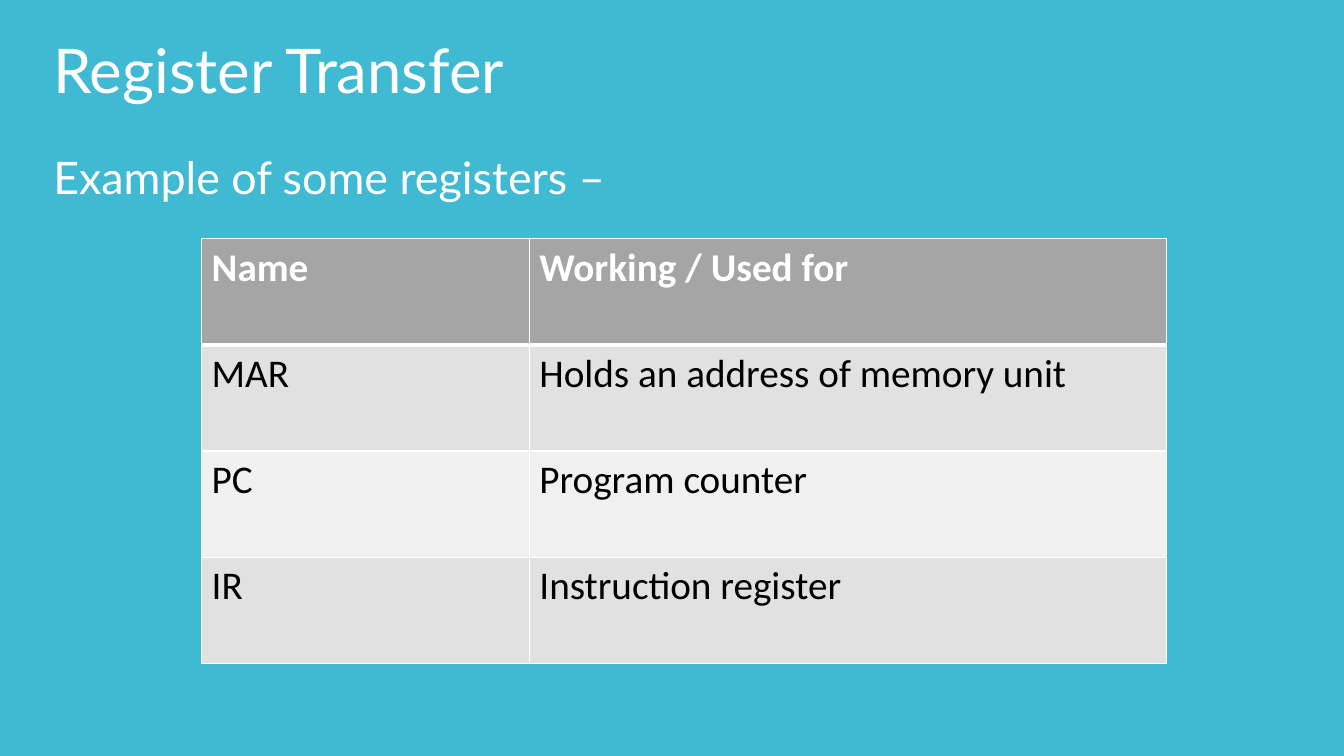
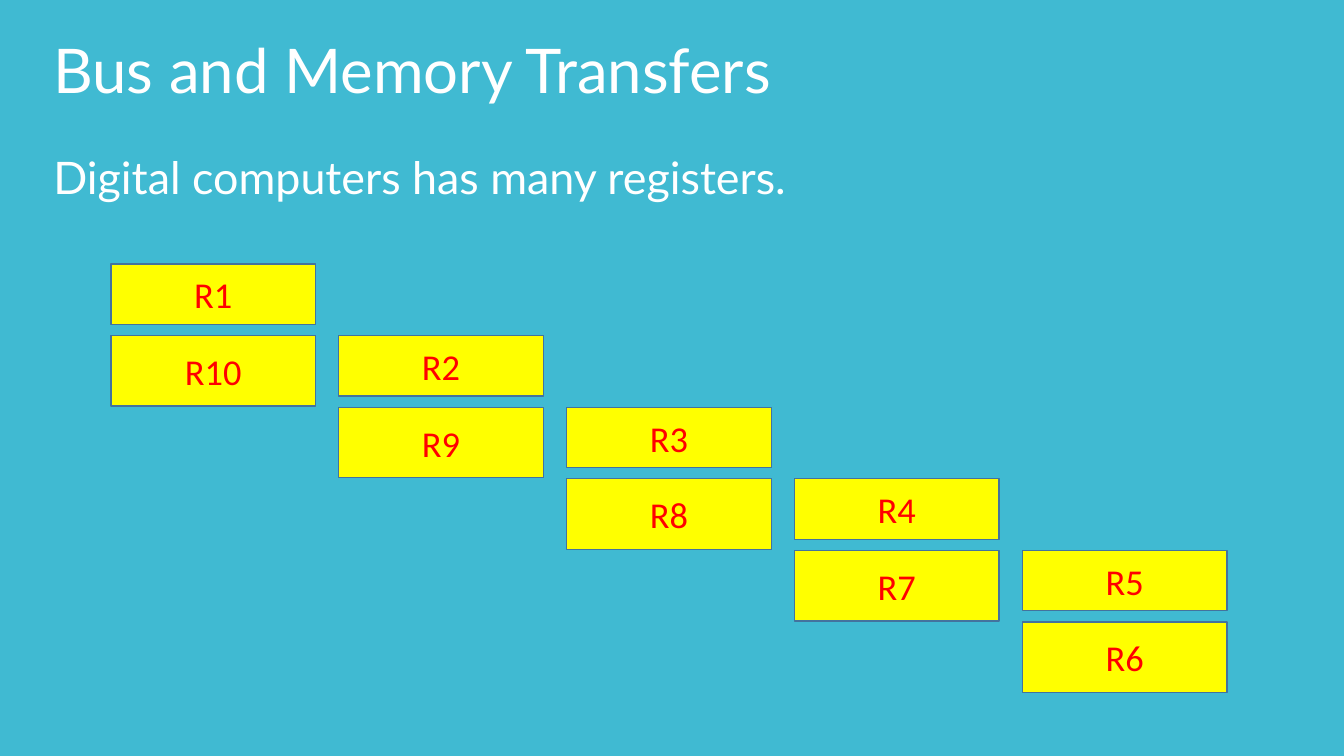
from lxml.etree import SubElement
from pptx import Presentation
from pptx.dml.color import RGBColor
from pptx.enum.shapes import MSO_SHAPE
from pptx.enum.text import MSO_ANCHOR, PP_ALIGN
from pptx.oxml.ns import qn
from pptx.util import Pt

PX = 9144  # EMU in one px, 100 px to the inch

BACKGROUND = RGBColor(0x40, 0xBA, 0xD2)
WHITE = RGBColor(0xFF, 0xFF, 0xFF)
BLACK = RGBColor(0x00, 0x00, 0x00)
HEADER_GREY = RGBColor(0xA5, 0xA5, 0xA5)
BAND_GREYS = (RGBColor(0xE1, 0xE1, 0xE1), RGBColor(0xF0, 0xF0, 0xF0))
YELLOW = RGBColor(0xFF, 0xFF, 0x00)
RED = RGBColor(0xFF, 0x00, 0x00)
OUTLINE = RGBColor(0x43, 0x73, 0x9E)

# Formats shared by the slides
TITLE_FONT = {"name": "Lato", "size": Pt(44)}
LEAD_FONT = {"name": "Lato", "size": Pt(32)}
HEADER_FONT = {"name": "Calibri", "size": Pt(28), "bold": True}
CELL_FONT = {"name": "Calibri", "size": Pt(28), "bold": False}
REGISTER_FONT = {"name": "Calibri", "size": Pt(26)}
TITLE_PARA = {"line_spacing": 0.9}
LEAD_PARA = {"line_spacing": 1.5, "space_before": Pt(10),
             "alignment": PP_ALIGN.JUSTIFY}
CENTRED = {"alignment": PP_ALIGN.CENTER}

# Regions: left, top, width, height
TITLE_BOX = (43, 0, 1150, 145)
LEAD_BOX = (43, 117, 1229, 592)
TABLE_BOX = (200, 237, 957, 421)
STAIRS_BOX = (110, 262, 1107, 426)

REGISTER_TABLE = (
    ("Name", "Working / Used for"),
    ("MAR", "Holds an address of memory unit"),
    ("PC", "Program counter"),
    ("IR", "Instruction register"),
)


def emu(*lengths):
    return [length * PX for length in lengths]


def set_values(target, values):
    for name, value in values.items():
        setattr(target, name, value)


def write(frame, text, font, colour, para_format):
    para = frame.paragraphs[0]
    set_values(para, para_format)
    span = para.add_run()
    span.text = text
    set_values(span.font, font)
    span.font.color.rgb = colour


def add_text(page, box, text, font, para_format, anchor):
    frame = page.shapes.add_textbox(*emu(*box)).text_frame
    set_values(frame, {"word_wrap": True, "vertical_anchor": anchor})
    write(frame, text, font, WHITE, para_format)


def add_page(deck, title, lead):
    page = deck.slides.add_slide(deck.slide_layouts[6])
    add_text(page, TITLE_BOX, title, TITLE_FONT, TITLE_PARA, MSO_ANCHOR.MIDDLE)
    add_text(page, LEAD_BOX, lead, LEAD_FONT, LEAD_PARA, MSO_ANCHOR.TOP)
    return page


def set_borders(cell, widths):
    properties = cell._tc.get_or_add_tcPr()
    for side, width in widths.items():
        line = SubElement(properties, qn(f"a:ln{side}"), w=str(Pt(width)))
        fill = SubElement(line, qn("a:solidFill"))
        SubElement(fill, qn("a:srgbClr"), val=str(WHITE))


def add_register_table(page, box, rows):
    left, top, width, height = box
    table = page.shapes.add_table(len(rows), 2, *emu(*box)).table
    first_width = round(width * 0.34)
    for column, length in zip(table.columns, (first_width, width - first_width)):
        column.width = length * PX
    for row_index, texts in enumerate(rows):
        header = row_index == 0
        table.rows[row_index].height = height * PX // len(rows)
        for column_index, text in enumerate(texts):
            cell = table.cell(row_index, column_index)
            # A thick rule parts the header from the rows
            set_borders(cell, {"L": 1, "R": 1, "T": 3 if row_index == 1 else 1,
                               "B": 3 if header else 1})
            cell.fill.solid()
            cell.fill.fore_color.rgb = (
                HEADER_GREY if header else BAND_GREYS[(row_index - 1) % 2])
            write(cell.text_frame, text, HEADER_FONT if header else CELL_FONT,
                  WHITE if header else BLACK, {})


def add_register(page, box, name):
    shape = page.shapes.add_shape(MSO_SHAPE.RECTANGLE, *emu(*box))
    shape.shadow.inherit = False
    shape.fill.solid()
    shape.fill.fore_color.rgb = YELLOW
    shape.line.color.rgb = OUTLINE
    shape.line.width = Pt(1)
    shape.text_frame.vertical_anchor = MSO_ANCHOR.MIDDLE
    write(shape.text_frame, name, REGISTER_FONT, RED, CENTRED)


def add_register_stairs(page, box, steps):
    left, top, width, height = box
    register_width, upper_height, lower_height = 203, 60, 70
    across = (width - register_width) // (steps - 1)
    down = (height - lower_height) // steps
    for step in range(steps):
        x, y = left + step * across, top + step * down
        # Numbers run down the upper edge and back up the lower one
        add_register(page, (x, y, register_width, upper_height), f"R{step + 1}")
        add_register(page, (x, y + down, register_width, lower_height),
                     f"R{2 * steps - step}")


def main():
    deck = Presentation()
    deck.slide_width, deck.slide_height = emu(1333, 750)
    backdrop = deck.slide_master.background.fill
    backdrop.solid()
    backdrop.fore_color.rgb = BACKGROUND

    page = add_page(deck, "Register Transfer", "Example of some registers –")
    add_register_table(page, TABLE_BOX, REGISTER_TABLE)

    page = add_page(deck, "Bus and Memory Transfers",
                    "Digital computers has many registers.")
    add_register_stairs(page, STAIRS_BOX, 5)

    deck.save("out.pptx")


if __name__ == "__main__":
    main()
